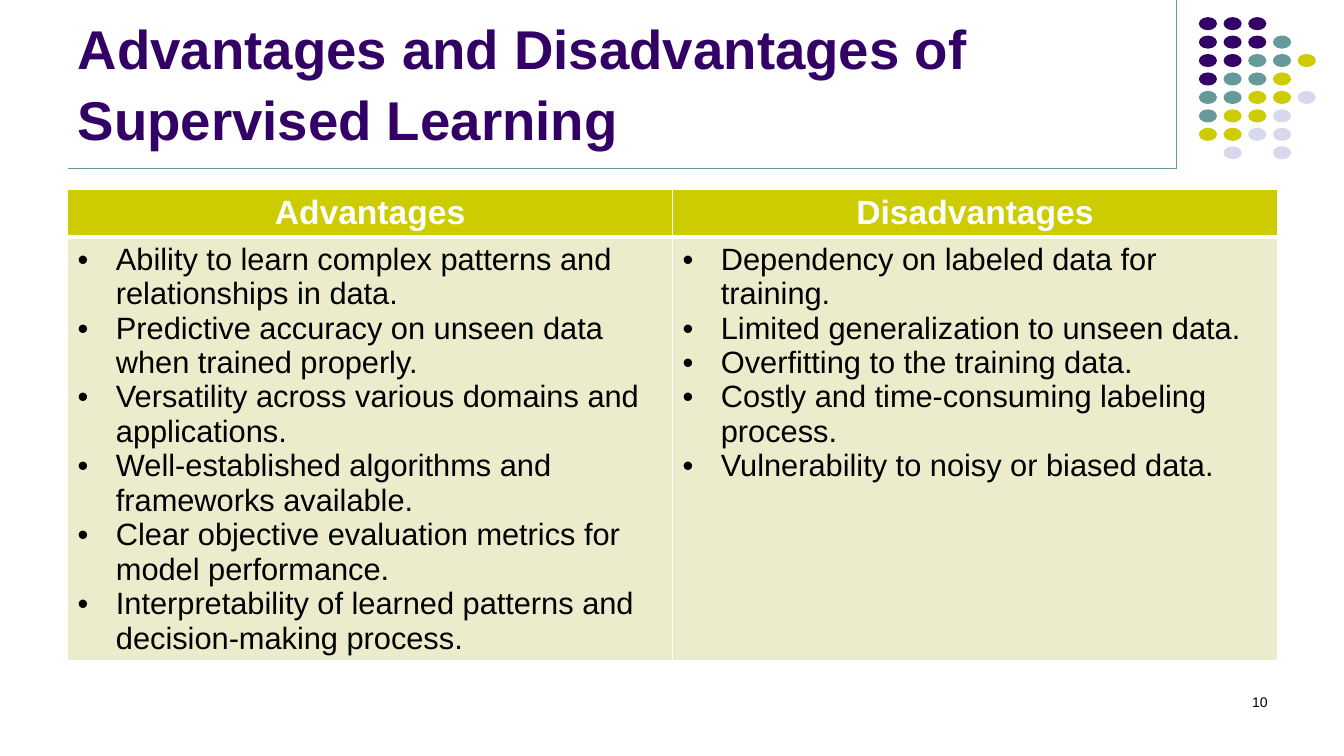
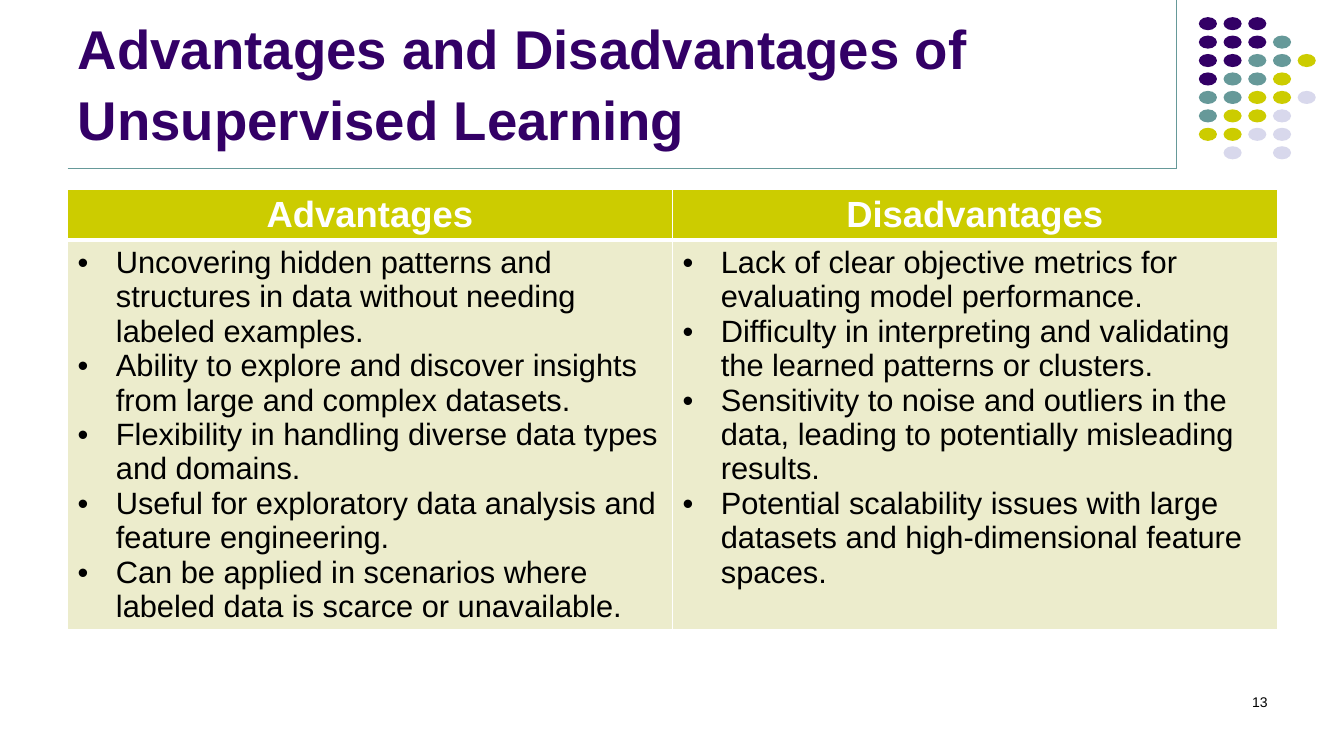
import pptx
import pptx.dml.color
import pptx.enum.shapes
import pptx.enum.text
import pptx.oxml
import pptx.oxml.ns
import pptx.util
from pptx.util import Inches

WIDTH, HEIGHT = 13.33, 7.5
MARGIN = 0.67
RULE_X, RULE_Y = 11.67, 1.67
TABLE_TOP, TABLE_WIDTH = 1.88, 12
LINE_HEIGHT = 1.12 / 72  # inches of line for one point of text
CELL_PADDING = 0.1
INDENT = 0.38

PURPLE, TEAL, LIME, LILAC = "330066", "669999", "CCCC00", "D8D8EC"
WHITE, BLACK, CREAM = "FFFFFF", "000000", "ECECCC"
FONT = "Arial"

DOT_COLORS = {"P": PURPLE, "T": TEAL, "Y": LIME, "L": LILAC}
DOT_ROWS = ["PPP", "PPPT", "PPTTY", "PTTY", "TTYYL", "TYYL", "YYLL", " L L"]
DOT_LEFT, DOT_TOP = 11.89, 0.17
DOT_STEP_X, DOT_STEP_Y = 0.245, 0.183
DOT_WIDTH, DOT_HEIGHT = 0.18, 0.13

SLIDES = [
    {
        "title": "Advantages and Disadvantages of Supervised Learning",
        "number": "10",
        "header_size": 24,
        "table_bottom": 6.55,
        "columns": {
            "Advantages": [
                "Ability to learn complex patterns and relationships in data.",
                "Predictive accuracy on unseen data when trained properly.",
                "Versatility across various domains and applications.",
                "Well-established algorithms and frameworks available.",
                "Clear objective evaluation metrics for model performance.",
                "Interpretability of learned patterns and decision-making process.",
            ],
            "Disadvantages": [
                "Dependency on labeled data for training.",
                "Limited generalization to unseen data.",
                "Overfitting to the training data.",
                "Costly and time-consuming labeling process.",
                "Vulnerability to noisy or biased data.",
            ],
        },
    },
    {
        "title": "Advantages and Disadvantages of Unsupervised Learning",
        "number": "13",
        "header_size": 26,
        "table_bottom": 6.24,
        "columns": {
            "Advantages": [
                "Uncovering hidden patterns and structures in data without needing labeled examples.",
                "Ability to explore and discover insights from large and complex datasets.",
                "Flexibility in handling diverse data types and domains.",
                "Useful for exploratory data analysis and feature engineering.",
                "Can be applied in scenarios where labeled data is scarce or unavailable.",
            ],
            "Disadvantages": [
                "Lack of clear objective metrics for evaluating model performance.",
                "Difficulty in interpreting and validating the learned patterns or clusters.",
                "Sensitivity to noise and outliers in the data, leading to potentially misleading results.",
                "Potential scalability issues with large datasets and high-dimensional feature spaces.",
            ],
        },
    },
]


def rgb(color):
    return pptx.dml.color.RGBColor.from_string(color)


def add_xml(parent, tag, **attributes):
    child = pptx.oxml.parse_xml(f"<a:{tag} {pptx.oxml.ns.nsdecls('a')}/>")
    for name, value in attributes.items():
        child.set(name, str(value))
    parent.append(child)
    return child


def write(frame, lines, size, color=BLACK, bold=False, align="LEFT", spacing=None, bullet=False):
    """Fill a text frame with one paragraph per line."""
    for index, line in enumerate(lines):
        para = frame.add_paragraph() if index else frame.paragraphs[0]
        para.alignment = getattr(pptx.enum.text.PP_ALIGN, align)
        if spacing:
            para.line_spacing = spacing
        if bullet:
            properties = para._p.get_or_add_pPr()
            properties.set("marL", str(Inches(INDENT)))
            properties.set("indent", str(-Inches(INDENT)))
            add_xml(properties, "buFont", typeface=FONT)
            add_xml(properties, "buChar", char="•")
        span = para.add_run()
        span.text = line
        span.font.name = FONT
        span.font.size = pptx.util.Pt(size)
        span.font.bold = bold
        span.font.color.rgb = rgb(color)


def add_rule(shapes, start, end):
    rule = shapes.add_connector(
        pptx.enum.shapes.MSO_CONNECTOR.STRAIGHT, *map(Inches, start + end))
    rule.line.color.rgb = rgb(TEAL)
    rule.line.width = pptx.util.Pt(0.75)
    add_xml(rule.element.spPr, "effectLst")
    return rule


def add_dots(shapes):
    group = shapes.add_group_shape()
    for row, marks in enumerate(DOT_ROWS):
        for column, mark in enumerate(marks):
            if mark == " ":
                continue
            dot = group.shapes.add_shape(
                pptx.enum.shapes.MSO_SHAPE.OVAL,
                Inches(DOT_LEFT + column * DOT_STEP_X), Inches(DOT_TOP + row * DOT_STEP_Y),
                Inches(DOT_WIDTH), Inches(DOT_HEIGHT))
            dot.shadow.inherit = False
            dot.fill.solid()
            dot.fill.fore_color.rgb = rgb(DOT_COLORS[mark])
            dot.line.fill.background()
    return group


def decorate_layout(layout, slide):
    """Build the shared decoration on a slide, then move it to the layout."""
    corner = (RULE_X, RULE_Y)
    for part in (add_rule(slide.shapes, (RULE_X, 0), corner),
                 add_dots(slide.shapes),
                 add_rule(slide.shapes, (MARGIN, RULE_Y), corner)):
        layout.shapes.element.append(part.element)


def style_cell(cell, fill, top, bottom):
    properties = cell._tc.get_or_add_tcPr()
    for side, width in {"L": 1, "R": 1, "T": top, "B": bottom}.items():
        border = add_xml(properties, f"ln{side}", w=pptx.util.Pt(width))
        add_xml(add_xml(border, "solidFill"), "srgbClr", val=WHITE)
    cell.fill.solid()
    cell.fill.fore_color.rgb = rgb(fill)


def add_comparison(slide, columns, header_size, bottom):
    height = bottom - TABLE_TOP
    header_height = header_size * LINE_HEIGHT + CELL_PADDING
    table = slide.shapes.add_table(
        2, len(columns), Inches(MARGIN), Inches(TABLE_TOP),
        Inches(TABLE_WIDTH), Inches(height)).table
    table.rows[0].height = Inches(header_height)
    table.rows[1].height = Inches(height - header_height)
    for column, (heading, points) in enumerate(columns.items()):
        header, body = table.cell(0, column), table.cell(1, column)
        style_cell(header, LIME, top=1, bottom=3)
        style_cell(body, CREAM, top=3, bottom=1)
        write(header.text_frame, [heading], header_size, WHITE, bold=True, align="CENTER")
        write(body.text_frame, points, 22, bullet=True)


def add_title(slide, text):
    title = slide.shapes.title
    title.left, title.top, title.width, title.height = map(Inches, (MARGIN, 0.13, 11, 1.42))
    frame = title.text_frame
    frame.auto_size = pptx.enum.text.MSO_AUTO_SIZE.NONE
    frame.vertical_anchor = pptx.enum.text.MSO_ANCHOR.BOTTOM
    write(frame, [text], 39, PURPLE, bold=True, spacing=1.08)


def add_number(slide, number):
    box = slide.shapes.add_textbox(*map(Inches, (9.56, 6.83, 3.11, 0.5)))
    box.text_frame.word_wrap = True
    write(box.text_frame, [number], 10, align="RIGHT")


def main():
    deck = pptx.Presentation()
    deck.slide_width, deck.slide_height = Inches(WIDTH), Inches(HEIGHT)
    layout = deck.slide_layouts.get_by_name("Title Only")
    for index, page in enumerate(SLIDES):
        slide = deck.slides.add_slide(layout)
        if index == 0:
            decorate_layout(layout, slide)
        add_title(slide, page["title"])
        add_comparison(slide, page["columns"], page["header_size"], page["table_bottom"])
        add_number(slide, page["number"])
    deck.save("out.pptx")


if __name__ == "__main__":
    main()
